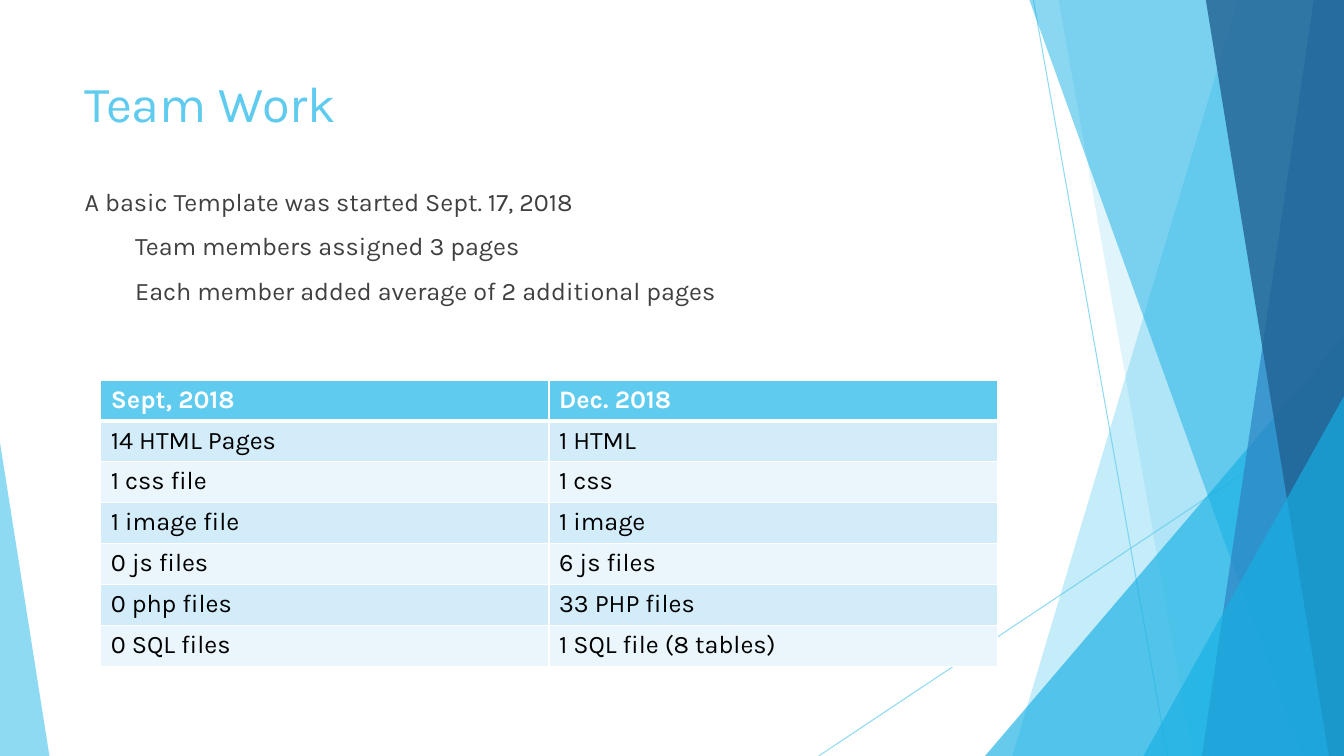
import pptx
import pptx.util
import pptx.dml.color
import pptx.enum.shapes
import pptx.enum.text
import pptx.oxml
import pptx.oxml.ns
from pptx.util import Inches

COLORS = {
    "sky": "5FCBEF", "cyan": "17B0E4", "blue": "2E83C3", "navy": "226292",
    "ink": "404040", "black": "000000", "white": "FFFFFF",
    "band_dark": "D2ECF9", "band_light": "EAF6FC",
}
FONT = "Karla"
SLIDE_WIDTH, SLIDE_HEIGHT = 13.33, 7.5

AGENDA = [
    ("A basic Template was started Sept. 17, 2018", 0),
    ("Team members assigned 3 pages", 1),
    ("Each member added average of 2 additional pages", 1),
]
FILE_COUNTS = [
    ("Sept, 2018", "Dec. 2018"),
    ("14 HTML Pages", "1 HTML"),
    ("1 css file", "1 css"),
    ("1 image file", "1 image"),
    ("0 js files", "6 js files"),
    ("0 php files", "33 PHP files"),
    ("0 SQL files", "1 SQL file (8 tables)"),
]


def rgb(name):
    return pptx.dml.color.RGBColor.from_string(COLORS[name])


def add_child(parent, tag, **attributes):
    child = pptx.oxml.parse_xml(f"<{tag} {pptx.oxml.ns.nsdecls('a')}/>")
    for key, value in attributes.items():
        child.set(key, str(value))
    parent.append(child)
    return child


def set_alpha(element, percent):
    for color in element.iter(pptx.oxml.ns.qn("a:srgbClr")):
        add_child(color, "a:alpha", val=percent * 1000)


def style_text(paragraph, size, color, bold=False):
    paragraph.font.name = FONT
    paragraph.font.size = pptx.util.Pt(size)
    paragraph.font.bold = bold
    paragraph.font.color.rgb = rgb(color)


def style_facet(facet, color, opacity):
    facet.shadow.inherit = False
    facet.fill.solid()
    facet.fill.fore_color.rgb = rgb(color)
    facet.line.fill.background()
    set_alpha(facet._element.spPr, opacity)


def add_ray(slide, start, end):
    ray = slide.shapes.add_connector(
        pptx.enum.shapes.MSO_CONNECTOR.STRAIGHT, *map(Inches, start + end))
    ray.line.color.rgb = rgb("sky")
    ray.line.width = pptx.util.Pt(0.75)
    set_alpha(ray._element.spPr, 70)
    add_child(ray._element.spPr, "a:effectLst")


def add_band(slide, box, top_x, bottom_x, color, opacity):
    left, top, width, height = box
    right, bottom = left + width, top + height
    corners = [(left + top_x, top), (right, top), (right, bottom), (left + bottom_x, bottom)]
    points = [(Inches(x), Inches(y)) for x, y in corners]
    outline = slide.shapes.build_freeform(*points[0])
    outline.add_line_segments(points[1:], close=True)
    style_facet(outline.convert_to_shape(), color, opacity)


def add_wedge(slide, box, width, height, apex, color, opacity):
    left = box[0] + apex * (box[2] - width)
    top = box[1] + box[3] - height
    wedge = slide.shapes.add_shape(
        pptx.enum.shapes.MSO_SHAPE.ISOSCELES_TRIANGLE,
        *map(Inches, (left, top, width, height)))
    wedge.adjustments[0] = apex
    style_facet(wedge, color, opacity)


def add_facets(slide, box):
    left, top, width, height = box
    right, bottom = left + width, top + height
    add_ray(slide, (left + 10.25, top), (left + 11.58, bottom))
    add_ray(slide, (right, top + 4.03), (left + 8.12, bottom))
    add_band(slide, box, 12.28, 10.04, "sky", 36)
    add_band(slide, box, 10.5, 11.83, "sky", 20)
    add_wedge(slide, box, 3.56, 4.17, 1, "cyan", 66)
    add_band(slide, box, 10.21, 12.91, "cyan", 50)
    add_band(slide, box, 13.03, 11.92, "blue", 70)
    add_band(slide, box, 11.96, 13.18, "navy", 80)
    add_wedge(slide, box, 1.99, 3.57, 1, "cyan", 66)
    add_wedge(slide, box, 0.49, 3.11, 0, "sky", 70)


def place_placeholder(slide, placeholder, box):
    placeholder.left, placeholder.top, placeholder.width, placeholder.height = map(Inches, box)
    slide.shapes._spTree.append(placeholder._element)
    frame = placeholder.text_frame
    frame.word_wrap = True
    frame.auto_size = pptx.enum.text.MSO_AUTO_SIZE.NONE
    frame.vertical_anchor = pptx.enum.text.MSO_ANCHOR.TOP
    return frame


def fill_title(slide, box):
    heading = place_placeholder(slide, slide.shapes.title, box).paragraphs[0]
    heading.text = "Team Work"
    heading.alignment = pptx.enum.text.PP_ALIGN.LEFT
    style_text(heading, 36, "sky")


def fill_agenda(slide, box):
    frame = place_placeholder(slide, slide.placeholders[1], box)
    for index, (text, level) in enumerate(AGENDA):
        point = frame.paragraphs[0] if index == 0 else frame.add_paragraph()
        point.text = text
        point.level = level
        point.space_before = pptx.util.Pt(10)
        style_text(point, 18, "ink")
        properties = point._p.get_or_add_pPr()
        properties.set("marL", str(Inches(0.5 * level)))
        properties.set("indent", "0")
        properties.insert_element_before(
            add_child(properties, "a:buNone"), "a:tabLst", "a:defRPr", "a:extLst")


def set_borders(cell, top, bottom):
    for side, points in (("L", 1), ("R", 1), ("T", top), ("B", bottom)):
        edge = add_child(cell._tc.get_or_add_tcPr(), f"a:ln{side}", w=pptx.util.Pt(points))
        add_child(add_child(edge, "a:solidFill"), "a:srgbClr", val=COLORS["white"])


def add_file_counts(slide, box):
    row_total, column_total = len(FILE_COUNTS), len(FILE_COUNTS[0])
    counts = slide.shapes.add_table(row_total, column_total, *map(Inches, box)).table
    for row, texts in enumerate(FILE_COUNTS):
        header = row == 0
        band = "sky" if header else ("band_light", "band_dark")[row % 2]
        for column, text in enumerate(texts):
            cell = counts.cell(row, column)
            cell.text = text
            style_text(cell.text_frame.paragraphs[0], 18, "white" if header else "black", header)
            set_borders(cell, 3 if row == 1 else 1, 3 if header else 1)
            cell.fill.solid()
            cell.fill.fore_color.rgb = rgb(band)


def build_team_work(slide, box):
    left, top, width, height = box
    add_facets(slide, box)
    fill_title(slide, (left + 0.74, top + 0.67, 9.4, 1.44))
    fill_agenda(slide, (left + 0.74, top + 1.8, 9.4, 4.24))
    add_file_counts(slide, (left + 1, top + 3.77, 8.89, 2.84))


deck = pptx.Presentation()
deck.slide_width, deck.slide_height = Inches(SLIDE_WIDTH), Inches(SLIDE_HEIGHT)
team_work = deck.slides.add_slide(deck.slide_layouts[1])
build_team_work(team_work, (0, 0, SLIDE_WIDTH, SLIDE_HEIGHT))
deck.save("out.pptx")
